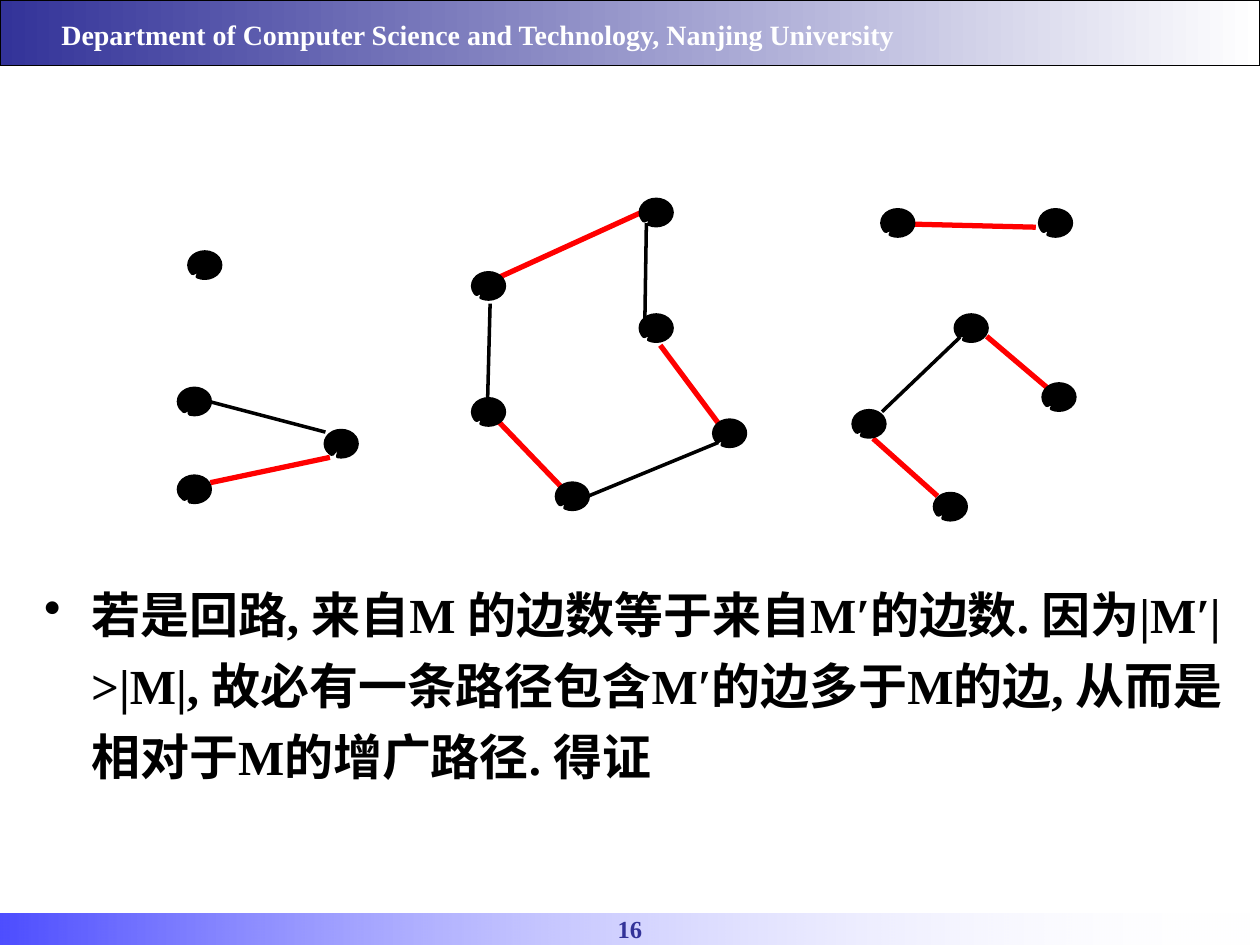
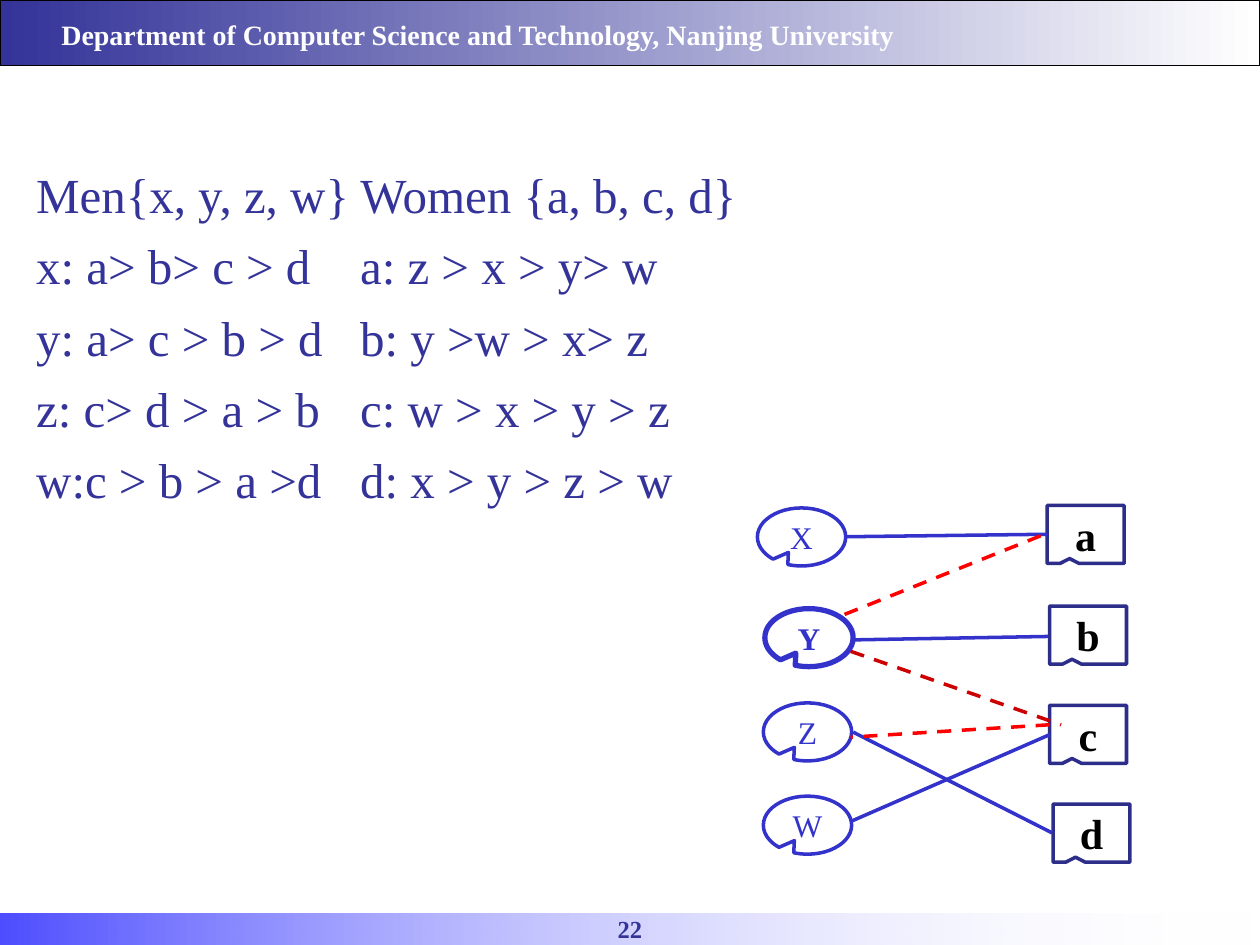
"""Build two lecture slides on graph matchings and stable marriage."""
import pptx
import pptx.dml.color
import pptx.enum.dml
import pptx.enum.shapes
import pptx.enum.text
import pptx.oxml.ns
import pptx.util
from lxml import etree

Cm = pptx.util.Cm
Pt = pptx.util.Pt
SHAPE = pptx.enum.shapes.MSO_SHAPE
ALIGN = pptx.enum.text.PP_ALIGN
ANCHOR = pptx.enum.text.MSO_ANCHOR
DASH = pptx.enum.dml.MSO_LINE.DASH

COLOURS = {
    "navy": "333399", "blue": "3333CC", "indigo": "2D2D8A", "pure blue": "0000FF",
    "red": "FF0000", "crimson": "CC0000", "black": "000000", "white": "FFFFFF",
}
FONT = "Times New Roman"
SLIDE_SIZE = (25.4, 19.05)

HEADER = "Department of Computer Science and Technology, Nanjing University"
HEADER_AREA = (0.99, 0.3, 17.98, 1.7)
NUMBER_AREA = (0, 18.31, 25.4, 0.84)
TOP_BAND = (0, 0, 25.4, 1.32)
BOTTOM_BAND = (0, 18.42, 25.4, 0.63)

PROOF = ("若是回路, 来自M 的边数等于来自M′的边数. 因为|M′| >|M|, "
         "故必有一条路径包含M′的边多于M的边, 从而是相对于M的增广路径. 得证")
PROOF_AREA = (0.64, 11.43, 24.28, 6.78)
BULLET_INDENT = 0.95

DOT_SIZE = (0.64, 0.53)
DOTS = {
    (-0.149, 0.267): [(3.6, 9.6), (3.6, 7.83)],
    (-0.008, 0.018): [(6.56, 8.68)],
    (-0.149, 0.184): [
        (3.81, 5.08), (9.53, 5.5), (12.91, 4.02), (12.91, 6.35), (9.53, 8.04),
        (20.96, 4.23), (17.78, 4.23), (14.39, 8.47), (11.22, 9.74),
        (21.03, 7.74), (18.84, 9.95), (19.26, 6.35), (17.2, 8.28),
    ],
}
GRAPH_EDGES = {
    ("black", 2, None): [
        (4.24, 8.1, 6.56, 8.71), (9.88, 6.12, 9.83, 8.04), (13.03, 4.5, 13, 6.43),
        (14.48, 8.92, 11.86, 10), (17.78, 8.3, 19.35, 6.8),
    ],
    ("red", 3, None): [
        (4.24, 9.73, 6.65, 9.22), (20.88, 4.58, 18.42, 4.52),
        (13.31, 6.96, 14.48, 8.53), (10.06, 5.59, 12.91, 4.29),
        (10.06, 8.51, 11.3, 9.8), (17.6, 8.84, 18.9, 10), (21.21, 7.9, 19.89, 6.78),
    ],
}

PREFERENCES = [
    "Men{x, y, z, w} Women {a, b, c, d}",
    "x: a> b> c > d\ta: z > x > y> w",
    "y: a> c > b > d\tb: y >w > x> z",
    "z: c> d > a > b\tc: w > x > y > z",
    "w:c > b > a >d\td: x > y > z > w",
]
PREFERENCES_AREA = (0.48, 3.2, 24.77, 4.22)
WOMEN_TAB = 6.53

PERSON_TIP = {"men": (-0.149, 0.267), "women": (-0.208, 0.416)}
MAN_SIZE, WOMAN_SIZE = (1.78, 1.17), (1.55, 1.17)
MEN = [("X", 15.27, 10.24, 2), ("Y", 15.42, 12.27, 3),
       ("Z", 15.39, 14.17, 2), ("W", 15.39, 16.05, 2)]
WOMEN = [("a", 21.11, 10.19), ("b", 21.16, 12.22),
         ("c", 21.16, 14.22), ("d", 21.23, 16.21)]
MATCH_EDGES = {
    ("blue", 2, None): [
        (17.04, 10.82, 21.11, 10.77), (21.16, 14.81, 17.15, 16.56),
        (17.2, 14.76, 21.21, 16.79), (17.15, 12.9, 21.13, 12.83),
    ],
    ("red", 2, DASH): [(20.98, 10.8, 16.94, 12.42), (21.16, 14.61, 17.15, 14.86)],
    ("crimson", 2, DASH): [(17.15, 13.13, 21.39, 14.61)],
}


def rgb(name):
    return pptx.dml.color.RGBColor.from_string(COLOURS[name])


def lengths(values):
    return [Cm(value) for value in values]


def apply_format(target, values):
    for name, value in values.items():
        setattr(target, name, value)


def add_child(parent, tag, **attributes):
    child = etree.SubElement(parent, pptx.oxml.ns.qn(tag))
    for name, value in attributes.items():
        child.set(name, str(value))
    return child


def write(frame, lines, size, colour, bold=False, **paragraph_format):
    frame.word_wrap = True
    for index, line in enumerate(lines):
        para = frame.add_paragraph() if index else frame.paragraphs[0]
        apply_format(para, paragraph_format)
        if index:
            para.space_before = Pt(7)
        span = para.add_run()
        span.text = line
        apply_format(span.font, {"name": FONT, "size": Pt(size), "bold": bold})
        span.font.color.rgb = rgb(colour)


def add_text(page, area, lines, size, colour, bold=False, **paragraph_format):
    box = page.shapes.add_textbox(*lengths(area))
    write(box.text_frame, lines, size, colour, bold, **paragraph_format)
    return box.text_frame.paragraphs


def add_figure(page, kind, area, fill=None, line=None, width=2, tip=()):
    figure = page.shapes.add_shape(kind, *lengths(area))
    figure.shadow.inherit = False
    for index, value in enumerate(tip):
        figure.adjustments[index] = value
    if fill:
        figure.fill.solid()
        figure.fill.fore_color.rgb = rgb(fill)
    else:
        figure.fill.background()
    if line:
        figure.line.color.rgb = rgb(line)
        figure.line.width = Pt(width)
    else:
        figure.line.fill.background()
    return figure


def add_band(page, area, start, line=None, alphas=()):
    band = add_figure(page, SHAPE.RECTANGLE, area, line=line, width=0.75)
    band.fill.gradient()
    band.fill.gradient_angle = 0
    for stop, colour in zip(band.fill.gradient_stops, (start, "white")):
        stop.color.rgb = rgb(colour)
    stops = band.element.spPr.find(pptx.oxml.ns.qn("a:gradFill"))
    for colour, alpha in zip(stops.iter(pptx.oxml.ns.qn("a:srgbClr")), alphas):
        add_child(colour, "a:alpha", val=alpha * 1000)


def add_edges(page, groups):
    for (colour, width, dash), edges in groups.items():
        for edge in edges:
            line = page.shapes.add_connector(
                pptx.enum.shapes.MSO_CONNECTOR.STRAIGHT, *lengths(edge))
            line.line.color.rgb = rgb(colour)
            apply_format(line.line, {"width": Pt(width), "dash_style": dash})
            add_child(line.element.spPr, "a:effectLst")


def add_person(page, kind, area, label, tip, size, colour, bold, **look):
    person = add_figure(page, kind, area, tip=tip, **look)
    apply_format(person.text_frame, {
        "margin_left": 0, "margin_right": 0, "margin_top": 0, "margin_bottom": 0,
        "vertical_anchor": ANCHOR.MIDDLE})
    write(person.text_frame, [label], size, colour, bold, alignment=ALIGN.CENTER)


def add_page(deck, number):
    page = deck.slides.add_slide(deck.slide_layouts[6])
    add_band(page, TOP_BAND, "navy", line="black")
    add_band(page, BOTTOM_BAND, "pure blue", alphas=(70, 0))
    add_text(page, NUMBER_AREA, [number], 14, "navy", True, alignment=ALIGN.CENTER)
    add_text(page, HEADER_AREA, [HEADER], 16, "white", True, line_spacing=0.9)
    return page


def add_matching_page(deck):
    page = add_page(deck, "16")
    para = add_text(page, PROOF_AREA, [PROOF], 28, "black", True, line_spacing=1.2)[0]
    properties = para._p.get_or_add_pPr()
    properties.set("marL", str(Cm(BULLET_INDENT)))
    properties.set("indent", str(-Cm(BULLET_INDENT)))
    add_child(properties, "a:buChar", char="•")
    add_edges(page, GRAPH_EDGES)
    for tip, places in DOTS.items():
        for place in places:
            add_figure(page, SHAPE.OVAL_CALLOUT, place + DOT_SIZE, "black", "black", tip=tip)


def add_marriage_page(deck):
    page = add_page(deck, "22")
    for para in add_text(page, PREFERENCES_AREA, PREFERENCES, 28, "navy"):
        tabs = add_child(para._p.get_or_add_pPr(), "a:tabLst")
        add_child(tabs, "a:tab", pos=Cm(WOMEN_TAB), algn="l")
    for label, left, top, width in MEN:
        add_person(page, SHAPE.OVAL_CALLOUT, (left, top) + MAN_SIZE, label,
                   PERSON_TIP["men"], 18, "blue", width > 2, line="blue", width=width)
    for label, left, top in WOMEN:
        add_person(page, SHAPE.RECTANGULAR_CALLOUT, (left, top) + WOMAN_SIZE, label,
                   PERSON_TIP["women"], 24, "black", True, fill="white", line="indigo")
    add_edges(page, MATCH_EDGES)


def main():
    deck = pptx.Presentation()
    deck.slide_width, deck.slide_height = lengths(SLIDE_SIZE)
    add_matching_page(deck)
    add_marriage_page(deck)
    deck.save("out.pptx")


if __name__ == "__main__":
    main()
